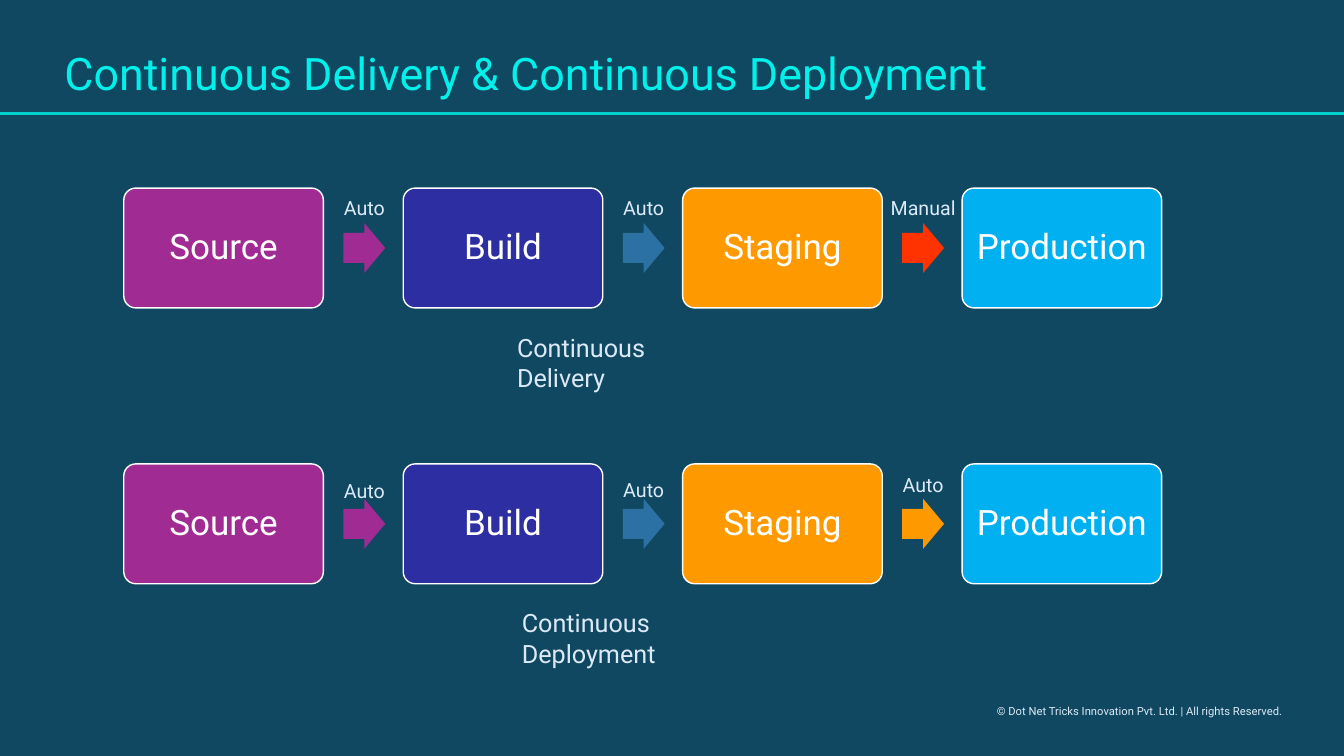
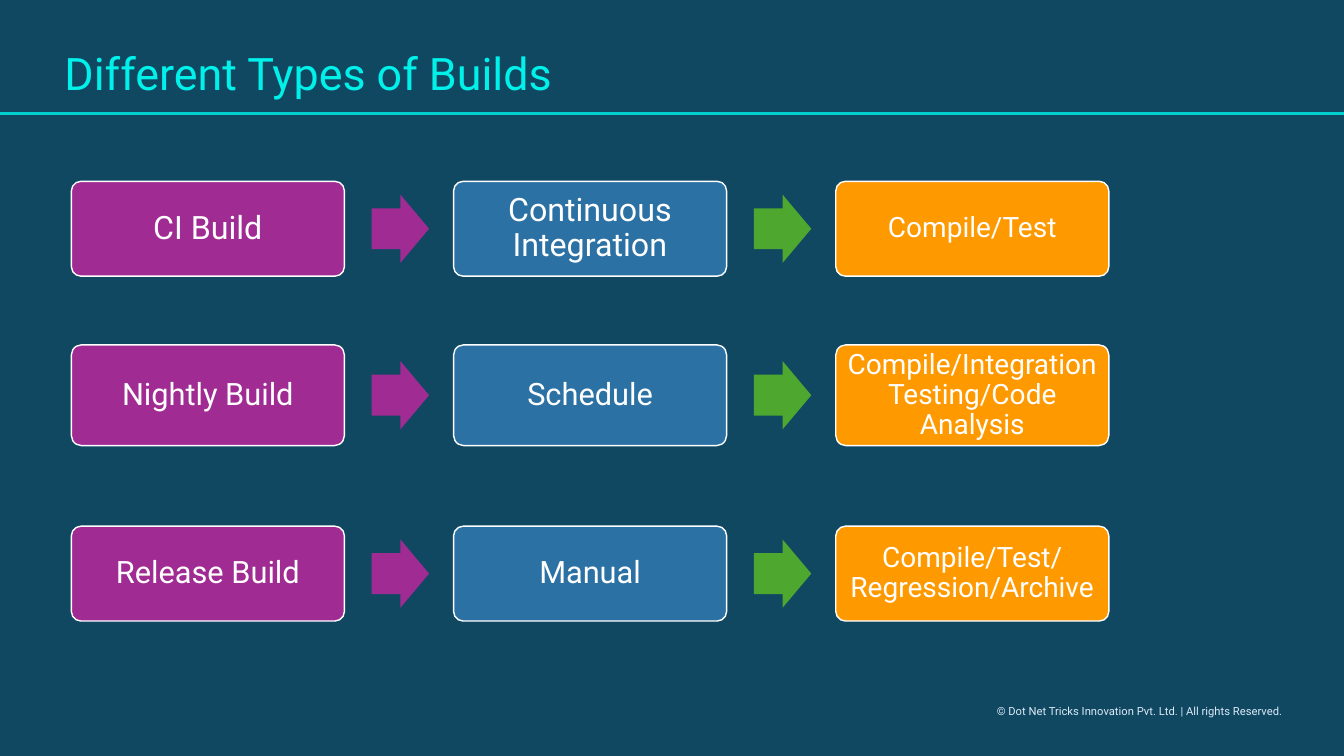
import dataclasses

import pptx
import pptx.dml.color
import pptx.enum.shapes
import pptx.enum.text
import pptx.oxml.ns
import pptx.util
from lxml import etree

Cm = pptx.util.Cm
Pt = pptx.util.Pt
SHAPE = pptx.enum.shapes.MSO_SHAPE
ALIGN = pptx.enum.text.PP_ALIGN
ANCHOR = pptx.enum.text.MSO_ANCHOR


# Theme: colours and type sizes
@dataclasses.dataclass(frozen=True)
class Theme:
    font: str = "Roboto"
    background: str = "104862"
    title: str = "00F0EA"
    rule: str = "00D1CF"
    text: str = "DCEAF7"
    white: str = "FFFFFF"
    purple: str = "A02B93"
    indigo: str = "2C2EA2"
    blue: str = "2C71A4"
    orange: str = "FF9900"
    red: str = "FF3300"
    sky: str = "00B0F0"
    green: str = "4EA72E"
    title_size: int = 32
    stage_size: int = 25
    build_size: int = 23
    routine_size: int = 22
    task_size: int = 20
    caption_size: int = 18
    label_size: int = 14
    footer_size: int = 8


THEME = Theme()
COPYRIGHT = "© Dot Net Tricks Innovation Pvt. Ltd. | All rights Reserved."


def rgb(colour):
    return pptx.dml.color.RGBColor.from_string(colour)


class Deck:
    """Holds the style and the current slide; all lengths are centimetres."""

    def __init__(self, theme):
        self.theme = theme
        self.prs = pptx.Presentation()
        self.prs.slide_width, self.prs.slide_height = Cm(33.87), Cm(19.05)
        backdrop = self.prs.slide_master.background.fill
        backdrop.solid()
        backdrop.fore_color.rgb = rgb(theme.background)
        self.slide = None

    def new_slide(self, heading):
        self.slide = self.prs.slides.add_slide(self.prs.slide_layouts[5])
        title = self.slide.shapes.title
        title.left, title.top = Cm(1.37), Cm(1.19)
        title.width, title.height = Cm(30.89), Cm(1.47)
        self.set_words(title.text_frame, heading, self.theme.title_size,
                       self.theme.title, spacing=0.9)
        self.rule(2.85)
        self.text(COPYRIGHT, 24.87, 17.63, 8.4, 0.6, self.theme.footer_size)

    def set_words(self, frame, words, size, colour, align=ALIGN.LEFT,
                  anchor=ANCHOR.TOP, spacing=1.0):
        frame.text = words
        frame.word_wrap = True
        frame.auto_size = pptx.enum.text.MSO_AUTO_SIZE.NONE
        frame.vertical_anchor = anchor
        for paragraph in frame.paragraphs:
            paragraph.alignment = align
            paragraph.line_spacing = spacing
            for run in paragraph.runs:
                run.font.name = self.theme.font
                run.font.size = Pt(size)
                run.font.color.rgb = rgb(colour)

    def text(self, words, left, top, width, height, size, align=ALIGN.LEFT):
        box = self.slide.shapes.add_textbox(
            Cm(left), Cm(top), Cm(width), Cm(height))
        self.set_words(box.text_frame, words, size, self.theme.text, align)

    def rule(self, top):
        line = self.slide.shapes.add_connector(
            pptx.enum.shapes.MSO_CONNECTOR.STRAIGHT,
            0, Cm(top), self.prs.slide_width, Cm(top))
        line.line.color.rgb = rgb(self.theme.rule)
        line.line.width = Pt(2)
        etree.SubElement(line.element.spPr, pptx.oxml.ns.qn("a:effectLst"))

    def shape(self, kind, left, top, width, height, colour):
        shape = self.slide.shapes.add_shape(
            kind, Cm(left), Cm(top), Cm(width), Cm(height))
        shape.shadow.inherit = False
        shape.fill.solid()
        shape.fill.fore_color.rgb = rgb(colour)
        return shape

    def card(self, words, left, top, width, height, colour, size):
        card = self.shape(SHAPE.ROUNDED_RECTANGLE, left, top, width, height, colour)
        card.adjustments[0] = 0.1
        card.line.color.rgb = rgb(self.theme.white)
        card.line.width = Pt(1)
        frame = card.text_frame
        frame.margin_left = frame.margin_right = Cm(0.2)
        frame.margin_top = frame.margin_bottom = Cm(0.2)
        self.set_words(frame, words, size, self.theme.white, ALIGN.CENTER,
                       ANCHOR.MIDDLE, 0.9)

    def arrow(self, left, middle, width, height, colour):
        arrow = self.shape(SHAPE.RIGHT_ARROW, left, middle - height / 2,
                           width, height, colour)
        arrow.adjustments[0] = 0.6
        arrow.adjustments[1] = 0.5
        arrow.line.fill.background()

    def flow(self, cards, arrows, left, top, width, height):
        """Cards (words, colour, size) in a row, with an arrow in each gap.

        Gaps and arrows scale with card width. Returns the arrow centres.
        """
        pitch, reach = 1.4 * width, 0.21 * width
        for column, (words, colour, size) in enumerate(cards):
            self.card(words, left + column * pitch, top, width, height, colour, size)
        starts = [left + column * pitch + 1.1 * width
                  for column in range(len(arrows))]
        for start, colour in zip(starts, arrows):
            self.arrow(start, top + height / 2, reach, 0.25 * width, colour)
        return [start + reach / 2 for start in starts]


# Slide 1: two release pipelines
def pipelines(deck):
    t = deck.theme
    deck.new_slide("Continuous Delivery & Continuous Deployment")
    stages = [(stage, colour, t.stage_size) for stage, colour in (
        ("Source", t.purple), ("Build", t.indigo),
        ("Staging", t.orange), ("Production", t.sky))]
    # Top, last arrow colour, triggers with their drop, caption and its left
    releases = (
        (4.74, t.red, (("Auto", 0.08), ("Auto", 0.08), ("Manual", 0.08)),
         "Continuous Delivery", 12.78),
        (11.69, t.orange, (("Auto", 0.25), ("Auto", 0.22), ("Auto", 0.1)),
         "Continuous Deployment", 12.9),
    )
    for top, last_arrow, triggers, caption, caption_left in releases:
        centres = deck.flow(stages, (t.purple, t.blue, last_arrow),
                            3.12, top, 5.03, 3.02)
        for centre, (trigger, drop) in zip(centres, triggers):
            deck.text(trigger, centre - 1.2, top + drop, 2.4, 0.86,
                      t.label_size, ALIGN.CENTER)
        deck.text(caption, caption_left, top + 3.5, 4.2, 1.8, t.caption_size)


# Slide 2: what starts each build and what it does
def build_types(deck):
    t = deck.theme
    deck.new_slide("Different Types of Builds")
    builds = (
        (4.57, 2.39, t.build_size,
         "CI Build", "Continuous Integration", "Compile/Test"),
        (8.69, 2.54, t.routine_size, "Nightly Build", "Schedule",
         "Compile/Integration Testing/Code Analysis"),
        (13.26, 2.39, t.routine_size, "Release Build", "Manual",
         "Compile/Test/ Regression/Archive"),
    )
    for top, height, size, build, trigger, tasks in builds:
        cards = ((build, t.purple, size), (trigger, t.blue, size),
                 (tasks, t.orange, t.task_size))
        deck.flow(cards, (t.purple, t.green), 1.8, top, 6.88, height)


def main():
    deck = Deck(THEME)
    pipelines(deck)
    build_types(deck)
    deck.prs.save("out.pptx")


if __name__ == "__main__":
    main()
